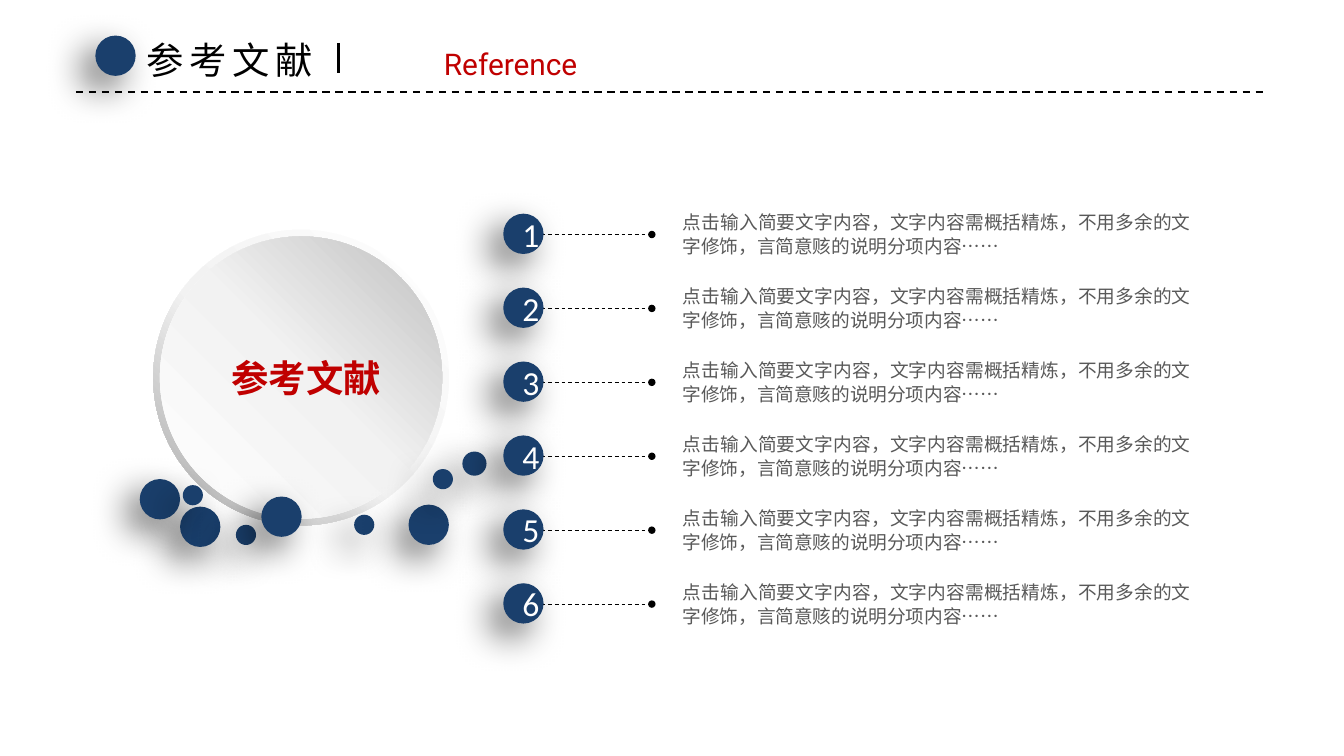
from dataclasses import dataclass
from typing import NamedTuple

from lxml.etree import SubElement
from pptx import Presentation
from pptx.dml.color import RGBColor
from pptx.enum.dml import MSO_LINE
from pptx.enum.shapes import MSO_CONNECTOR, MSO_SHAPE as SHAPE
from pptx.enum.text import MSO_ANCHOR as ANCHOR, MSO_AUTO_SIZE as AUTO, PP_ALIGN as ALIGN
from pptx.oxml.ns import qn
from pptx.util import Pt

PX = 4572


@dataclass(frozen=True)
class Theme:
    navy: str = "1A3F6C"
    red: str = "C00000"
    black: str = "000000"
    grey: str = "595959"
    white: str = "FFFFFF"
    cjk: str = "Noto Sans CJK SC"
    digits: str = "Calibri"
    latin: str = "Roboto"
    heading: int = 20
    number: int = 18
    subtitle: int = 16
    body: int = 10
    leading: int = 13


class Box(NamedTuple):
    x: int
    y: int
    w: int
    h: int


class Dot(NamedTuple):
    x: int
    y: int
    size: int


class Gradient(NamedTuple):
    stops: tuple
    angle: int


T = Theme()
SMALL, MEDIUM, LARGE = 30, 36, 60
DISC_RIM = Gradient(((0, T.white), (55, "F2F2F2"), (100, "A6A6A6")), 135)
DISC_FACE = Gradient(((0, T.white), (51, "F2F2F2"), (100, "BFBFBF")), 315)
BUBBLES = [
    Dot(268, 754, LARGE), Dot(351, 781, SMALL), Dot(389, 739, LARGE),
    Dot(527, 766, SMALL), Dot(208, 713, LARGE), Dot(272, 722, SMALL),
    Dot(608, 751, LARGE), Dot(688, 672, MEDIUM), Dot(644, 698, SMALL),
]
HEADING = "参考文献"
ENTRY = "点击输入简要文字内容，文字内容需概括精炼，不用多余的文字修饰，言简意赅的说明分项内容……"
ROWS, ROW_PITCH = 6, 110


def emu(*lengths: int) -> list[int]:
    return [n * PX for n in lengths]


def write(tf, text: str, *, font: str, size: int, color: str, bold: bool = False,
          align=ALIGN.LEFT, leading: int | None = None, tracking: int = 0) -> None:
    p = tf.paragraphs[0]
    p.alignment = align
    if leading:
        p.line_spacing = Pt(leading)
    r = p.add_run()
    r.text = text
    r.font.name, r.font.size, r.font.bold = font, Pt(size), bold
    r.font.color.rgb = RGBColor.from_string(color)
    rPr = r.font._element
    SubElement(rPr, qn("a:ea"), typeface=font)
    if tracking:
        rPr.set("spc", str(tracking * 100))


def add_text(shapes, box: Box, text: str, *, inset: bool = False, wrap: bool = True, **fmt) -> None:
    tf = shapes.add_textbox(*emu(*box)).text_frame
    tf.word_wrap = wrap
    tf.auto_size = AUTO.SHAPE_TO_FIT_TEXT
    if not inset:
        tf.margin_left = tf.margin_right = tf.margin_top = tf.margin_bottom = 0
    write(tf, text, **fmt)


def add_line(shapes, x1: int, y1: int, x2: int, y2: int, *, width: float,
             dashed: bool = False, oval_end: bool = False) -> None:
    sp = shapes.add_connector(MSO_CONNECTOR.STRAIGHT, *emu(x1, y1, x2, y2))
    sp.line.width = Pt(width)
    sp.line.color.rgb = RGBColor.from_string(T.black)
    if dashed:
        sp.line.dash_style = MSO_LINE.DASH
    if oval_end:
        SubElement(sp.line._get_or_add_ln(), qn("a:tailEnd"), type="oval", w="sm", len="sm")
    SubElement(sp._element.spPr, qn("a:effectLst"))


def add_dot(shapes, dot: Dot, label: str = "") -> None:
    sp = shapes.add_shape(SHAPE.OVAL, *emu(dot.x, dot.y, dot.size, dot.size))
    sp.fill.solid()
    sp.fill.fore_color.rgb = RGBColor.from_string(T.navy)
    sp.line.fill.background()
    sp.shadow.inherit = False
    effects = sp._element.spPr.find(qn("a:effectLst"))
    shadow = SubElement(effects, qn("a:outerShdw"), blurRad=str(Pt(20)), dist=str(Pt(10)),
                        dir=str(135 * 60000), algn="tr", rotWithShape="0")
    color = SubElement(shadow, qn("a:srgbClr"), val=T.black)
    SubElement(color, qn("a:alpha"), val="60000")
    if label:
        sp.text_frame.vertical_anchor = ANCHOR.MIDDLE
        write(sp.text_frame, label, font=T.digits, size=T.number, color=T.white, align=ALIGN.CENTER)


def add_disc(shapes, kind: SHAPE, box: Box, gradient: Gradient):
    sp = shapes.add_shape(kind, *emu(*box))
    sp.line.fill.background()
    sp.shadow.inherit = False
    sp.fill.gradient()
    grad = sp._element.spPr.find(qn("a:gradFill"))
    for child in list(grad):
        grad.remove(child)
    stops = SubElement(grad, qn("a:gsLst"))
    for pos, color in gradient.stops:
        stop = SubElement(stops, qn("a:gs"), pos=str(pos * 1000))
        SubElement(stop, qn("a:srgbClr"), val=color)
    SubElement(grad, qn("a:lin"), ang=str(gradient.angle * 60000), scaled="0")
    return sp


def add_header(slide) -> None:
    shapes = slide.shapes
    add_line(shapes, 113, 137, 1887, 137, width=1, dashed=True)
    add_dot(shapes, Dot(142, 53, LARGE))
    title = shapes.title
    title.left, title.top, title.width, title.height = emu(198, 46, 298, 88)
    tf = title.text_frame
    tf.word_wrap = False
    tf.auto_size = AUTO.NONE
    tf.vertical_anchor = ANCHOR.TOP
    write(tf, HEADING, font=T.cjk, size=T.heading, color=T.black, tracking=3)
    add_text(shapes, Box(640, 58, 240, 74), "Reference", inset=True, wrap=False,
             font=T.latin, size=T.subtitle, color=T.red, align=ALIGN.CENTER)
    add_line(shapes, 504, 64, 504, 108, width=1.5)


def add_medallion(shapes) -> None:
    group = shapes.add_group_shape()
    rim = add_disc(group.shapes, SHAPE.DONUT, Box(228, 342, 440, 440), DISC_RIM)
    rim.adjustments[0] = 0.05
    add_disc(group.shapes, SHAPE.OVAL, Box(238, 352, 420, 420), DISC_FACE)
    for bubble in BUBBLES:
        add_dot(shapes, bubble)
    add_text(shapes, Box(303, 529, 306, 68), HEADING, font=T.cjk, size=T.heading,
             color=T.red, bold=True, align=ALIGN.CENTER)


def add_entry(shapes, index: int) -> None:
    y = 318 + index * ROW_PITCH
    add_text(shapes, Box(1016, y - 7, 756, 72), ENTRY, font=T.cjk, size=T.body,
             color=T.grey, align=ALIGN.JUSTIFY, leading=T.leading)
    add_line(shapes, 796, y + 31, 970, y + 31, width=0.5, dashed=True, oval_end=True)
    add_dot(shapes, Dot(749, y, LARGE), str(index + 1))


def main() -> None:
    prs = Presentation()
    prs.slide_width, prs.slide_height = emu(2000, 1125)
    slide = prs.slides.add_slide(prs.slide_layouts[5])
    add_medallion(slide.shapes)
    for index in range(ROWS):
        add_entry(slide.shapes, index)
    add_header(slide)
    prs.save("out.pptx")


if __name__ == "__main__":
    main()
